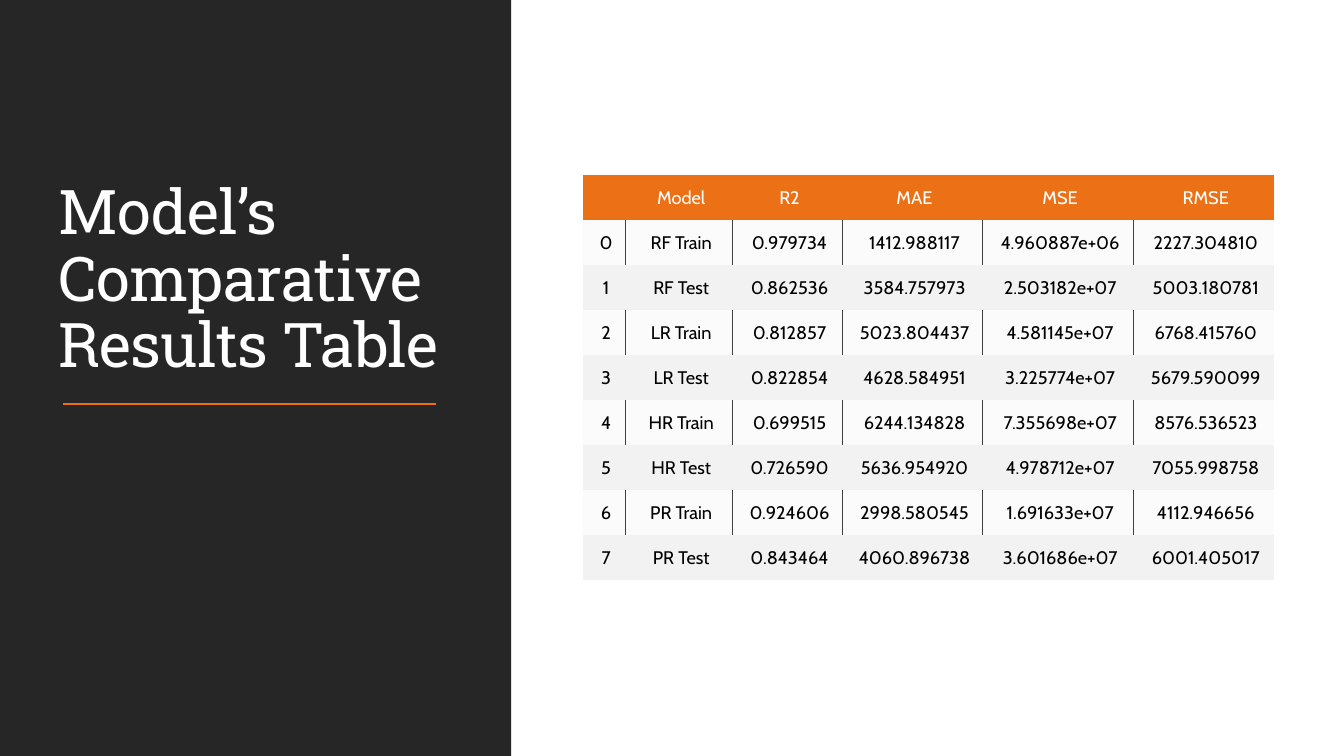
from typing import NamedTuple

from lxml import etree
from pptx import Presentation
from pptx.dml.color import RGBColor
from pptx.enum.shapes import MSO_CONNECTOR, MSO_SHAPE
from pptx.enum.text import MSO_ANCHOR, PP_ALIGN
from pptx.oxml.ns import qn
from pptx.util import Cm, Pt

RECTANGLE = MSO_SHAPE.RECTANGLE
STRAIGHT = MSO_CONNECTOR.STRAIGHT
MIDDLE, BOTTOM = MSO_ANCHOR.MIDDLE, MSO_ANCHOR.BOTTOM
CENTER = PP_ALIGN.CENTER

COLORS = {
    "panel": "262626",
    "accent": "EC7016",
    "light": "FFFFFF",
    "text": "000000",
    "band": "F2F2F2",
    "divider": "404040",
}
TITLE_FONT, TABLE_FONT = "Roboto Slab", "Cabin"
PLAIN_TABLE_STYLE = "{2D5ABB26-0587-4C30-8999-92F81FD0307C}"
COLUMN_WIDTHS = (1.09, 2.69, 2.77, 3.53, 3.81, 3.53)
DIVIDER_WIDTH = Pt(0.5)
PALE_ALPHA = 30


class Result(NamedTuple):
    index: str
    model: str
    r2: str
    mae: str
    mse: str
    rmse: str


HEADER = Result("", "Model", "R2", "MAE", "MSE", "RMSE")
RESULTS = [
    Result("0", "RF Train", "0.979734", "1412.988117", "4.960887e+06", "2227.304810"),
    Result("1", "RF Test", "0.862536", "3584.757973", "2.503182e+07", "5003.180781"),
    Result("2", "LR Train", "0.812857", "5023.804437", "4.581145e+07", "6768.415760"),
    Result("3", "LR Test", "0.822854", "4628.584951", "3.225774e+07", "5679.590099"),
    Result("4", "HR Train", "0.699515", "6244.134828", "7.355698e+07", "8576.536523"),
    Result("5", "HR Test", "0.726590", "5636.954920", "4.978712e+07", "7055.998758"),
    Result("6", "PR Train", "0.924606", "2998.580545", "1.691633e+07", "4112.946656"),
    Result("7", "PR Test", "0.843464", "4060.896738", "3.601686e+07", "6001.405017"),
]


def color(name: str) -> RGBColor:
    return RGBColor.from_string(COLORS[name])


def format_runs(paragraph, font_name: str, size: float, color_name: str) -> None:
    for run in paragraph.runs:
        run.font.name = font_name
        run.font.size = Pt(size)
        run.font.color.rgb = color(color_name)


def add_panel(slide) -> None:
    panel = slide.shapes.add_shape(RECTANGLE, 0, 0, Cm(12.88), Cm(19.05))
    panel.shadow.inherit = False
    panel.fill.solid()
    panel.fill.fore_color.rgb = color("panel")
    panel.line.fill.background()


def add_title(slide) -> None:
    title = slide.shapes.add_textbox(Cm(1.22), Cm(1.78), Cm(10.16), Cm(7.95))
    frame = title.text_frame
    frame.word_wrap = True
    frame.vertical_anchor = BOTTOM
    frame.text = "Model’s\vComparative Results Table"
    heading = frame.paragraphs[0]
    heading.line_spacing = 0.9
    format_runs(heading, TITLE_FONT, 44, "light")
    for run in heading.runs:
        run.font._element.set("spc", "-50")


def add_title_rule(slide) -> None:
    rule = slide.shapes.add_connector(STRAIGHT, Cm(1.6), Cm(10.19), Cm(11), Cm(10.19))
    rule.line.color.rgb = color("accent")
    rule.line.width = Pt(1.5)
    etree.SubElement(rule._element.spPr, qn("a:effectLst"))


def fill_cell(cell, color_name: str, alpha: int = 100) -> None:
    """Fill the cell; alpha is its opacity in percent."""
    cell.fill.solid()
    cell.fill.fore_color.rgb = color(color_name)
    if alpha < 100:
        tint = cell._tc.tcPr.find(f".//{qn('a:srgbClr')}")
        etree.SubElement(tint, qn("a:alpha"), val=str(alpha * 1000))


def add_dividers(cell, sides: list[str]) -> None:
    """Draw vertical borders on the given sides, listed as L before R."""
    for position, side in enumerate(sides):
        border = etree.Element(qn(f"a:ln{side}"), w=str(int(DIVIDER_WIDTH)))
        line_fill = etree.SubElement(border, qn("a:solidFill"))
        etree.SubElement(line_fill, qn("a:srgbClr"), val=COLORS["divider"])
        cell._tc.tcPr.insert(position, border)


def write_cell(cell, text: str, color_name: str) -> None:
    cell.text_frame.text = text
    cell.vertical_anchor = MIDDLE
    cell.margin_left, cell.margin_right = Cm(0.3), Cm(0.2)
    cell.margin_top = cell.margin_bottom = Cm(0.23)
    paragraph = cell.text_frame.paragraphs[0]
    paragraph.alignment = CENTER
    format_runs(paragraph, TABLE_FONT, 13, color_name)


def add_results_table(slide) -> None:
    rows = [HEADER, *RESULTS]
    last_column = len(COLUMN_WIDTHS) - 1
    table = slide.shapes.add_table(
        len(rows), len(COLUMN_WIDTHS),
        Cm(14.68), Cm(4.42), Cm(sum(COLUMN_WIDTHS)), Cm(10.21),
    ).table
    table.first_row = table.horz_banding = False
    table._tbl.tblPr.find(qn("a:tableStyleId")).text = PLAIN_TABLE_STYLE
    for column, width in zip(table.columns, COLUMN_WIDTHS):
        column.width = Cm(width)

    for row_index, row in enumerate(rows):
        is_header = row_index == 0
        for column_index, text in enumerate(row):
            cell = table.cell(row_index, column_index)
            if text:
                write_cell(cell, text, "light" if is_header else "text")
            if is_header:
                fill_cell(cell, "accent")
            elif row_index % 2 == 0:
                fill_cell(cell, "band")
            else:
                fill_cell(cell, "band", PALE_ALPHA)
                inner = {"L": column_index > 0, "R": column_index < last_column}
                add_dividers(cell, [side for side, drawn in inner.items() if drawn])


def main() -> None:
    presentation = Presentation()
    presentation.slide_width, presentation.slide_height = Cm(33.87), Cm(19.05)
    slide = presentation.slides.add_slide(presentation.slide_layouts[6])
    add_panel(slide)
    add_title(slide)
    add_title_rule(slide)
    add_results_table(slide)
    presentation.save("out.pptx")


if __name__ == "__main__":
    main()
